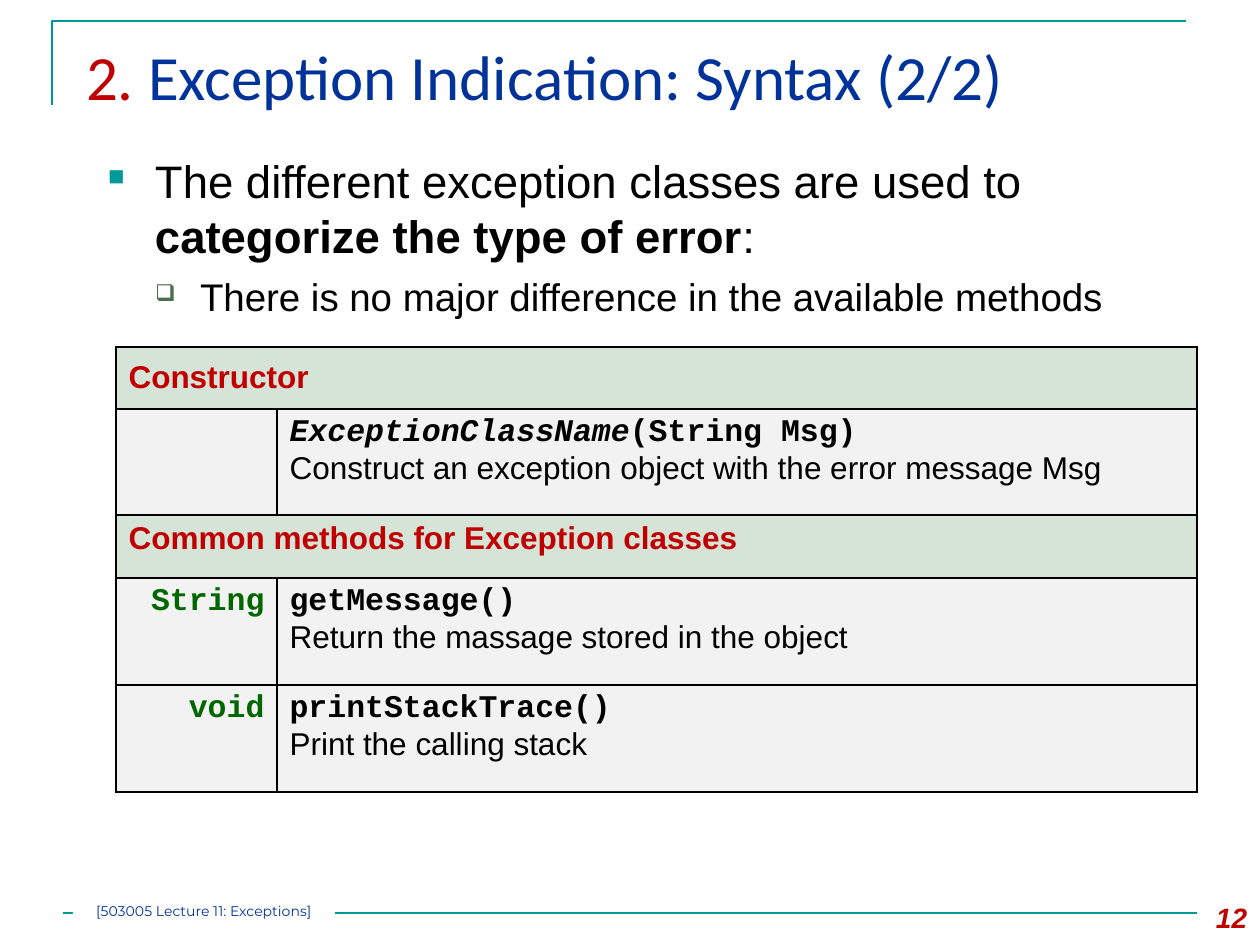
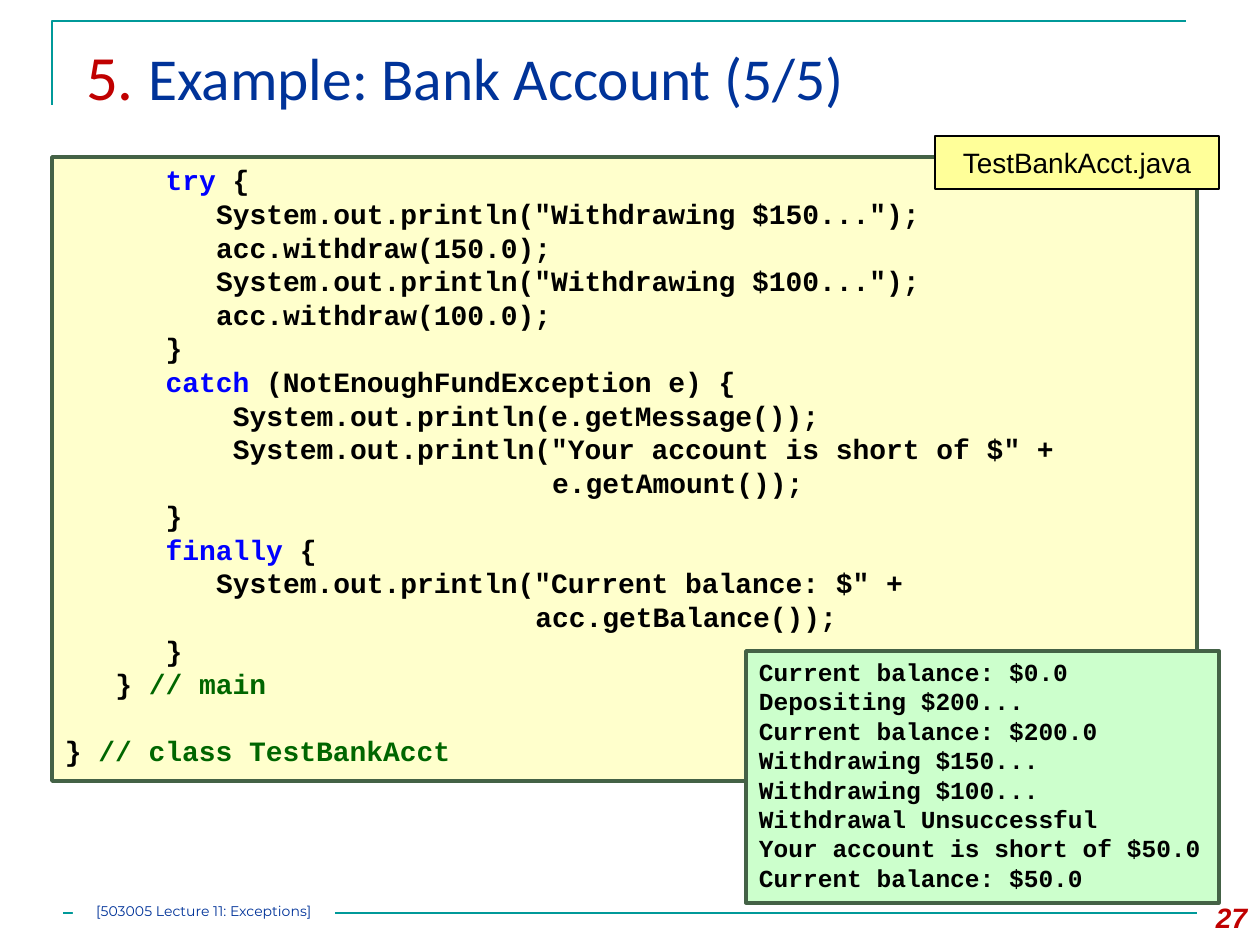
from lxml.etree import SubElement
from pptx import Presentation
from pptx.dml.color import RGBColor
from pptx.enum.shapes import MSO_CONNECTOR, MSO_SHAPE
from pptx.enum.text import MSO_ANCHOR, PP_ALIGN
from pptx.oxml import parse_xml
from pptx.oxml.ns import nsdecls, qn
from pptx.util import Pt

SCALE = 914400 / 126
COLORS = {
    "teal": "009999", "blue": "003399", "red": "C00000", "black": "000000",
    "white": "FFFFFF", "green": "006600", "keyword": "0000FF", "moss": "4C6D4E",
    "frame": "446246", "code": "FFFFCC", "label": "FFFF99", "output": "CCFFCC",
    "heading": "D6E3D7", "cell": "F2F2F2",
}
BODY = {"name": "Arial", "size": 26, "color": "black"}
DETAIL = BODY | {"size": 22}
TABLE_TEXT = BODY | {"size": 18}
TABLE_HEADING = TABLE_TEXT | {"bold": True, "color": "red"}
TABLE_CODE = TABLE_TEXT | {"name": "Courier New", "bold": True}
TABLE_TYPE = TABLE_CODE | {"color": "green"}
CODE = TABLE_CODE | {"size": 16}
KEYWORD = CODE | {"color": "keyword"}
COMMENT = CODE | {"color": "green"}
OUTPUT = CODE | {"size": 14}
TITLE = {"name": "Calibri", "size": 36, "color": "blue"}
NUMBER = BODY | {"size": 16, "color": "red", "bold": True, "italic": True}
FOOTER = {"name": "Montserrat", "size": 8, "color": "blue"}

presentation = Presentation()
presentation.slide_width = round(1260 * SCALE)
presentation.slide_height = round(945 * SCALE)


def write(frame, paragraphs, insets=(13, 6, 13, 6), **paragraph_format):
    frame.word_wrap = True
    for side, inset in zip(("left", "top", "right", "bottom"), insets):
        setattr(frame, f"margin_{side}", round(inset * SCALE))
    for index, runs in enumerate(paragraphs):
        paragraph = frame.paragraphs[0] if index == 0 else frame.add_paragraph()
        for key, value in ({"alignment": PP_ALIGN.LEFT} | paragraph_format).items():
            setattr(paragraph, key, value)
        for text, values in runs:
            run = paragraph.add_run()
            run.text = text
            for key, value in values.items():
                if key == "color":
                    run.font.color.rgb = RGBColor.from_string(COLORS[value])
                else:
                    setattr(run.font, key, Pt(value) if key == "size" else value)


def add_box(slide, bounds, fill=None, line=None, line_width=2):
    box = [round(length * SCALE) for length in bounds]
    if fill is None:
        return slide.shapes.add_textbox(*box)
    shape = slide.shapes.add_shape(MSO_SHAPE.RECTANGLE, *box)
    shape.shadow.inherit = False
    shape.fill.solid()
    shape.fill.fore_color.rgb = RGBColor.from_string(COLORS[fill])
    if line:
        shape.line.color.rgb = RGBColor.from_string(COLORS[line])
        shape.line.width = Pt(line_width)
    else:
        shape.line.fill.background()
    shape.text_frame.vertical_anchor = MSO_ANCHOR.TOP
    return shape


slides = []
for section, title, title_size, page in [
    ("2. ", "Exception Indication: Syntax (2/2)", 36, "12"),
    ("5. ", "Example: Bank Account (5/5)", 34, "27"),
]:
    slide = presentation.slides.add_slide(presentation.slide_layouts[6])
    slides.append(slide)
    builder = slide.shapes.build_freeform(52, 105, scale=SCALE)
    builder.add_line_segments([(52, 21), (1186, 21)], close=False)
    corner = builder.convert_to_shape()
    corner.fill.background()
    corner.shadow.inherit = False
    rule = slide.shapes.add_connector(
        MSO_CONNECTOR.STRAIGHT, *[round(length * SCALE) for length in (63, 913, 1197, 913)]
    )
    SubElement(rule._element.spPr, qn("a:effectLst"))
    for line in (corner.line, rule.line):
        line.color.rgb = RGBColor.from_string(COLORS["teal"])
        line.width = Pt(1.5)
    title_box = add_box(slide, (73, 32, 1155, 108))
    write(
        title_box.text_frame,
        [[(section, TITLE | {"color": "red"}), (title, TITLE | {"size": title_size})]],
    )
    number_box = add_box(slide, (1176, 895, 84, 50))
    write(number_box.text_frame, [[(page, NUMBER)]], alignment=PP_ALIGN.RIGHT)
    footer = add_box(slide, (73, 903, 262, 21), "white")
    write(
        footer.text_frame, [[("[503005 Lecture 11: Exceptions]", FOOTER)]],
        insets=(0, 0, 0, 0), alignment=PP_ALIGN.CENTER,
    )

syntax_slide, example_slide = slides

body = add_box(syntax_slide, (95, 147, 1102, 210))
write(
    body.text_frame,
    [
        [
            ("The different exception classes are used to ", BODY),
            ("categorize the type of error", BODY | {"bold": True}),
            (":", BODY),
        ],
        [("There is no major difference in the available methods", DETAIL)],
    ],
    space_before=Pt(6),
)
bullets = [(0, 47, 47, "teal", 50, "■"), (1, 92, 45, "moss", 60, "❑")]
for paragraph, (level, margin, hanging, color, size, character) in zip(
    body.text_frame.paragraphs, bullets
):
    paragraph.level = level
    properties = paragraph._p.get_or_add_pPr()
    properties.set("marL", str(round(margin * SCALE)))
    properties.set("indent", str(round(-hanging * SCALE)))
    bullet_color = SubElement(properties, qn("a:buClr"))
    SubElement(bullet_color, qn("a:srgbClr"), val=COLORS[color])
    SubElement(properties, qn("a:buSzPct"), val=str(size * 1000))
    SubElement(properties, qn("a:buChar"), char=character)

column_widths = [161, 920]
row_heights = [62, 106, 63, 107, 107]
table = syntax_slide.shapes.add_table(
    5, 2, *[round(length * SCALE) for length in (116, 347, sum(column_widths), sum(row_heights))]
).table
table.first_row = table.horz_banding = False
for column, width in zip(table.columns, column_widths):
    column.width = round(width * SCALE)
for row, height in zip(table.rows, row_heights):
    row.height = round(height * SCALE)

method_rows = [
    [[[("Constructor", TABLE_HEADING)]], []],
    [[], [
        [("ExceptionClassName", TABLE_CODE | {"italic": True}), ("(String Msg)", TABLE_CODE)],
        [("Construct an exception object with the error message Msg", TABLE_TEXT)],
    ]],
    [[[("Common methods for Exception classes", TABLE_HEADING)]], []],
    [[[("String", TABLE_TYPE)]], [
        [("getMessage()", TABLE_CODE)],
        [("Return the massage stored in the object", TABLE_TEXT)],
    ]],
    [[[("void", TABLE_TYPE)]], [
        [("printStackTrace()", TABLE_CODE)],
        [("Print the calling stack", TABLE_TEXT)],
    ]],
]
for row_index, contents in enumerate(method_rows):
    is_heading = row_index in (0, 2)
    if is_heading:
        table.cell(row_index, 0).merge(table.cell(row_index, 1))
    for column_index, paragraphs in enumerate(contents):
        cell = table.cell(row_index, column_index)
        cell.fill.solid()
        cell.fill.fore_color.rgb = RGBColor.from_string(COLORS["heading" if is_heading else "cell"])
        cell.vertical_anchor = MSO_ANCHOR.MIDDLE if row_index == 0 else MSO_ANCHOR.TOP
        is_type = column_index == 0 and not is_heading
        write(cell.text_frame, paragraphs, alignment=PP_ALIGN.RIGHT if is_type else PP_ALIGN.LEFT)
        for position, side in enumerate("LRTB"):
            border = parse_xml(
                f'<a:ln{side} {nsdecls("a")} w="12700"><a:solidFill>'
                f'<a:srgbClr val="{COLORS["black"]}"/></a:solidFill></a:ln{side}>'
            )
            cell._tc.get_or_add_tcPr().insert(position, border)

code_lines = [
    (6, [("try", KEYWORD), (" {", CODE)]),
    (9, [('System.out.println("Withdrawing $150...");', CODE)]),
    (9, [("acc.withdraw(150.0);", CODE)]),
    (9, [('System.out.println("Withdrawing $100...");', CODE)]),
    (9, [("acc.withdraw(100.0);", CODE)]),
    (6, [("}", CODE)]),
    (6, [("catch", KEYWORD), (" (NotEnoughFundException e) {", CODE)]),
    (10, [("System.out.println(e.getMessage());", CODE)]),
    (10, [('System.out.println("Your account is short of $" +', CODE)]),
    (29, [("e.getAmount());", CODE)]),
    (6, [("}", CODE)]),
    (6, [("finally", KEYWORD), (" {", CODE)]),
    (9, [('System.out.println("Current balance: $" +', CODE)]),
    (28, [("acc.getBalance());", CODE)]),
    (6, [("}", CODE)]),
    (3, [("} ", CODE), ("// main", COMMENT)]),
    (0, [("} ", CODE), ("// class TestBankAcct", COMMENT)]),
]
code_box = add_box(example_slide, (52, 157, 1145, 624), "code", "frame")
write(code_box.text_frame, [runs for _, runs in code_lines])
for paragraph, (indent, _) in zip(code_box.text_frame.paragraphs, code_lines):
    paragraph._p.get_or_add_pPr().set("marL", str(Pt(indent * CODE["size"] * 0.6)))
code_box.text_frame.paragraphs[-1].space_before = Pt(19.2)

file_label = add_box(example_slide, (935, 136, 284, 53), "label", "black", 0.75)
file_label.text_frame.vertical_anchor = MSO_ANCHOR.MIDDLE
write(
    file_label.text_frame, [[("TestBankAcct.java", BODY | {"size": 16})]],
    alignment=PP_ALIGN.CENTER,
)

output_lines = [
    "Current balance: $0.0",
    "Depositing $200...",
    "Current balance: $200.0",
    "Withdrawing $150...",
    "Withdrawing $100...",
    "Withdrawal Unsuccessful",
    "Your account is short of $50.0",
    "Current balance: $50.0",
]
output_box = add_box(example_slide, (746, 651, 473, 252), "output", "frame")
write(output_box.text_frame, [[(text, OUTPUT)] for text in output_lines])

presentation.save("out.pptx")
